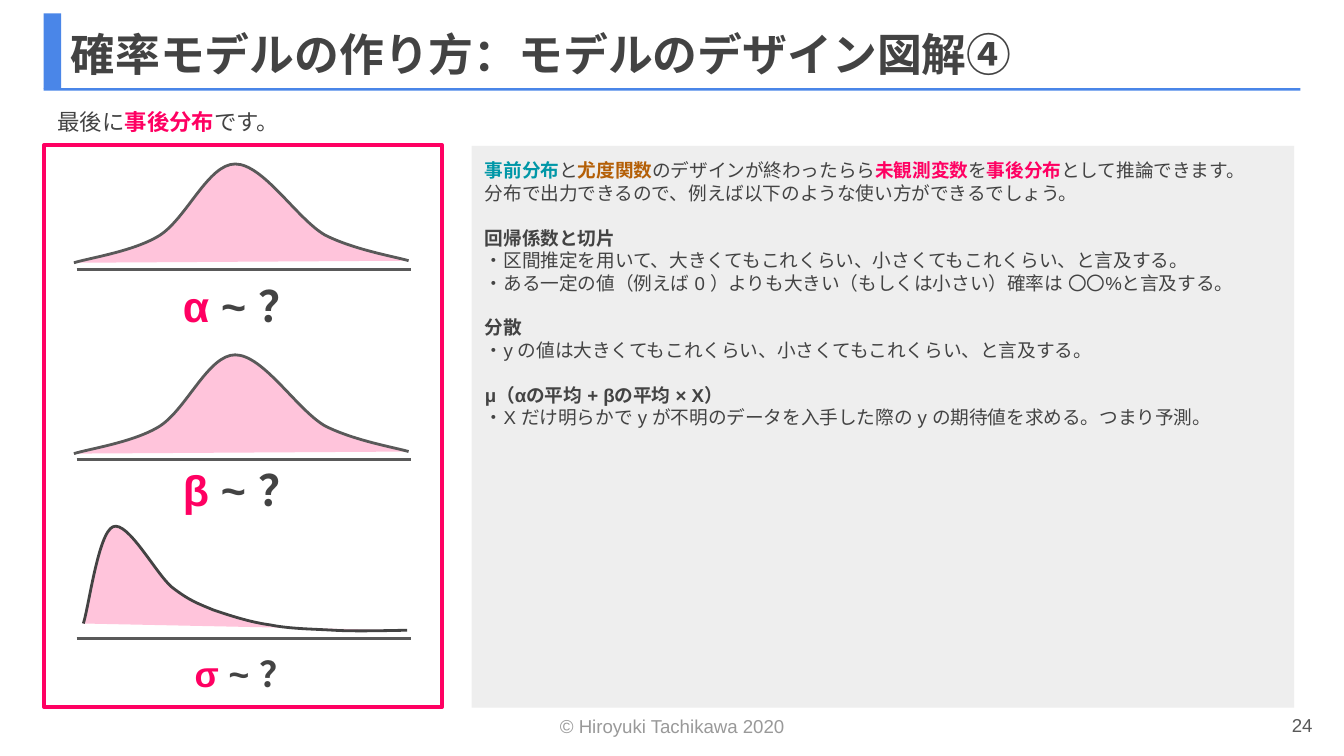
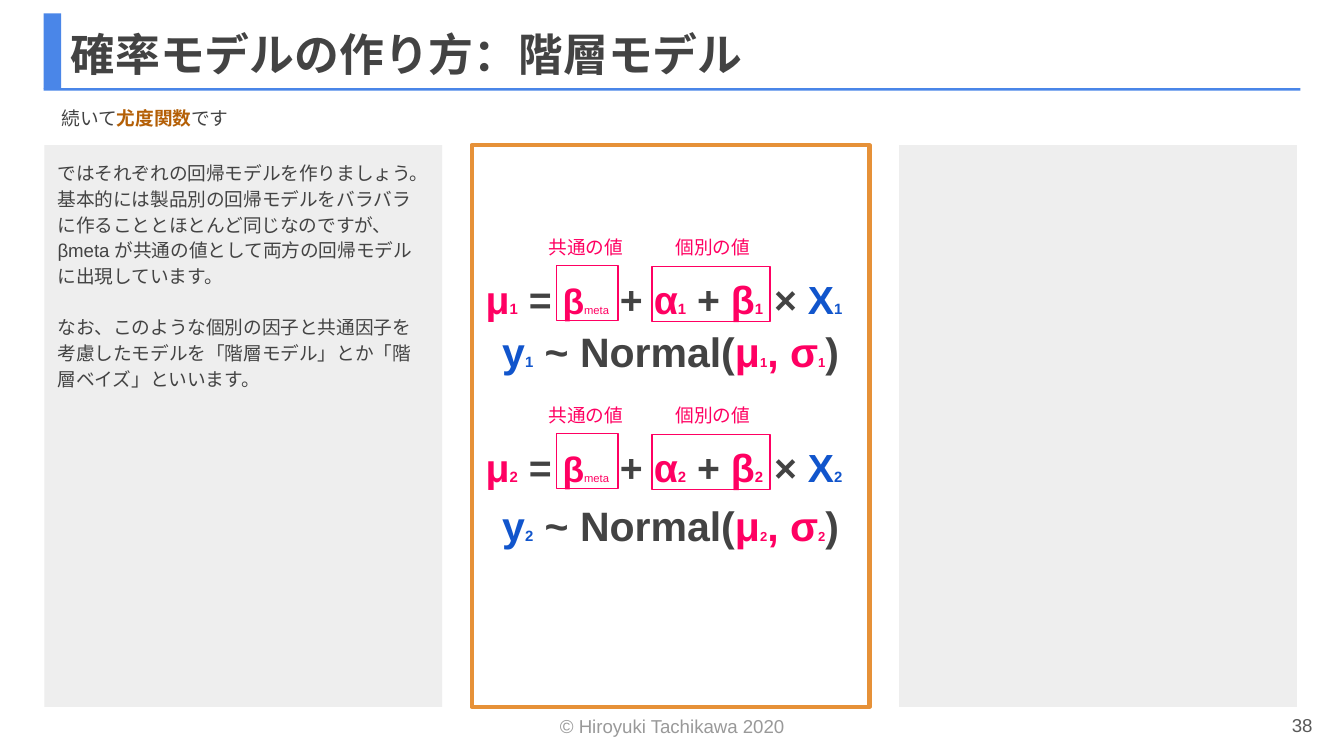
from dataclasses import dataclass, replace
from typing import NamedTuple, Optional

from lxml import etree
from pptx import Presentation
from pptx import util as u
from pptx.dml.color import RGBColor
from pptx.enum import shapes, text
from pptx.oxml.ns import qn

EMU_PER_PX = 4572  # 200 px to the inch


@dataclass(frozen=True)
class Theme:
    font: str = "Arial"
    ink: str = "434343"
    axis: str = "595959"
    muted: str = "999999"
    accent: str = "4A86E8"
    pink: str = "FF0062"
    pale_pink: str = "FFC4DB"
    teal: str = "0097A7"
    brown: str = "B45F06"
    orange: str = "E69138"
    blue: str = "1155CC"
    panel: str = "EEEEEE"
    title_size: int = 24
    lead_size: int = 12
    body_size: int = 10
    label_size: int = 23
    small_label_size: int = 19
    equation_size: int = 21
    beta_size: int = 19
    normal_size: int = 22
    index_size: int = 8
    inner_index_size: int = 7
    meta_size: int = 6
    frame_line: float = 2.25
    curve_line: float = 1.5
    thin_line: float = 0.75


THEME = Theme()


@dataclass(frozen=True)
class Area:
    left: int
    top: int
    width: int
    height: int

    def emu(self) -> list:
        return [px(v) for v in (self.left, self.top, self.width, self.height)]

    def down(self, distance: int) -> "Area":
        return replace(self, top=self.top + distance)


class Span(NamedTuple):
    text: str
    color: str = THEME.ink
    size: int = THEME.body_size
    bold: bool = False


class Para(NamedTuple):
    spans: list
    align: text.PP_ALIGN = text.PP_ALIGN.LEFT
    spacing: float = 1.0
    before: float = 0


class Density(NamedTuple):
    symbol: str
    label: Area
    size: int
    axis_top: int
    curve: list
    curve_shift: int
    outline: str


class Regression(NamedTuple):
    index: str
    shift: int
    normal_top: int


CENTER, RIGHT = text.PP_ALIGN.CENTER, text.PP_ALIGN.RIGHT
COLUMNS = [Area(66 + 636 * i, 216, 592, 836) for i in range(3)]
WIDE_PANEL = Area(702, 217, 1224, 836)

# Each curve is a start point followed by triples of Bezier points
BELL = [(110, 391), (132, 384), (200, 374), (238, 350), (278, 324), (310, 244),
        (350, 244), (392, 244), (442, 326), (484, 350), (528, 372), (588, 382), (608, 388)]
SKEWED = [(124, 928), (132, 904), (146, 794), (168, 784), (190, 774), (232, 854),
          (256, 874), (282, 894), (294, 898), (318, 908), (342, 916), (372, 926),
          (402, 930), (432, 936), (464, 936), (498, 938), (532, 940), (588, 938), (606, 938)]


def px(value: float) -> u.Emu:
    return u.Emu(round(value * EMU_PER_PX))


def set_all(target, values: dict) -> None:
    for name, value in values.items():
        setattr(target, name, value)


# --- Text ---
def write(box, paras: list, anchor=text.MSO_ANCHOR.MIDDLE) -> None:
    frame = box.text_frame
    set_all(frame, {"word_wrap": True, "auto_size": text.MSO_AUTO_SIZE.NONE,
                    "vertical_anchor": anchor})
    set_all(frame, {f"margin_{side}": px(20) for side in ("left", "right", "top", "bottom")})
    for number, item in enumerate(paras):
        para = frame.paragraphs[0] if number == 0 else frame.add_paragraph()
        set_all(para, {"alignment": item.align, "line_spacing": item.spacing,
                       "space_before": u.Pt(item.before), "space_after": u.Pt(0)})
        for part in item.spans:
            span = para.add_run()
            span.text = part.text
            set_all(span.font, {"size": u.Pt(part.size), "bold": part.bold, "name": THEME.font})
            span.font.color.rgb = RGBColor.from_string(part.color)
            for script in ("a:ea", "a:cs"):
                etree.SubElement(span.font._rPr, qn(script), typeface=THEME.font)


def add_text(page, area: Area, para: Para, anchor=text.MSO_ANCHOR.MIDDLE) -> None:
    write(page.shapes.add_textbox(*area.emu()), [para], anchor)


# --- Shapes ---
def paint(shape, fill: Optional[str], line: Optional[str], width: float) -> None:
    shape.shadow.inherit = False
    if fill:
        shape.fill.solid()
        shape.fill.fore_color.rgb = RGBColor.from_string(fill)
    else:
        shape.fill.background()
    if line:
        shape.line.color.rgb = RGBColor.from_string(line)
        shape.line.width = u.Pt(width)
    else:
        shape.line.fill.background()


def add_rect(page, area: Area, fill: Optional[str] = None, line: Optional[str] = None,
             width: float = THEME.thin_line):
    shape = page.shapes.add_shape(shapes.MSO_SHAPE.RECTANGLE, *area.emu())
    paint(shape, fill, line, width)
    return shape


def add_axis(page, top: int) -> None:
    axis = page.shapes.add_connector(
        shapes.MSO_CONNECTOR.STRAIGHT, px(114), px(top), px(612), px(top))
    axis.line.color.rgb = RGBColor.from_string(THEME.axis)
    axis.line.width = u.Pt(THEME.curve_line)
    etree.SubElement(axis._element.spPr, qn("a:effectLst"))


def add_curve(page, points: list, shift: int, outline: str) -> None:
    track = [(px(x), px(y + shift)) for x, y in points]
    builder = page.shapes.build_freeform(*track[0])
    builder.add_line_segments(track[3::3], close=False)
    curve = builder.convert_to_shape()
    # Turn the straight segments into Bezier ones
    outline_track = next(curve._element.iter(qn("a:path")))
    for segment in outline_track.findall(qn("a:lnTo")):
        outline_track.remove(segment)
    for first in range(1, len(track), 3):
        segment = etree.SubElement(outline_track, qn("a:cubicBezTo"))
        for x, y in track[first:first + 3]:
            etree.SubElement(segment, qn("a:pt"), x=str(x - curve.left), y=str(y - curve.top))
    paint(curve, THEME.pale_pink, outline, THEME.curve_line)


# --- Shared page furniture ---
def add_page(deck, title: str, number: int, panel: Area, paras: list):
    page = deck.slides.add_slide(deck.slide_layouts[5])
    add_rect(page, Area(65, 20, 26, 112), THEME.accent)
    add_rect(page, Area(65, 131, 1870, 4), THEME.accent)
    heading = page.shapes.title
    set_all(heading, dict(zip(("left", "top", "width", "height"),
                              Area(85, 24, 1864, 112).emu())))
    write(heading, [Para([Span(title, size=THEME.title_size, bold=True)])])
    write(add_rect(page, panel, THEME.panel), paras, text.MSO_ANCHOR.TOP)
    add_text(page, Area(135, 1053, 1730, 54),
             Para([Span("©︎ Hiroyuki Tachikawa 2020", THEME.muted)], CENTER))
    add_text(page, Area(1853, 1052, 120, 54), Para([Span(str(number), THEME.axis)], RIGHT))
    return page


# --- Posterior distributions ---
def build_posterior(deck) -> None:
    def heading(words: str) -> Para:
        return Para([Span(words, bold=True)], before=12)

    paras = [
        Para([Span("事前分布", THEME.teal, bold=True), Span("と"),
              Span("尤度関数", THEME.brown, bold=True), Span("のデザインが終わったらら"),
              Span("未観測変数", THEME.pink, bold=True), Span("を"),
              Span("事後分布", THEME.pink, bold=True), Span("として推論できます。")]),
        Para([Span("分布で出力できるので、例えば以下のような使い方ができるでしょう。")]),
        heading("回帰係数と切片"),
        Para([Span("・区間推定を用いて、大きくてもこれくらい、小さくてもこれくらい、と言及する。")]),
        Para([Span("・ある一定の値（例えば 0 ）よりも大きい（もしくは小さい）確率は 〇〇%と言及する。")]),
        heading("分散"),
        Para([Span("・y の値は大きくてもこれくらい、小さくてもこれくらい、と言及する。")]),
        heading("μ（αの平均 + βの平均 × X）"),
        Para([Span("・X だけ明らかで y が不明のデータを入手した際の y の期待値を求める。つまり予測。")]),
    ]
    page = add_page(deck, "確率モデルの作り方：モデルのデザイン図解④", 24, WIDE_PANEL, paras)
    size = THEME.lead_size
    add_text(page, Area(66, 135, 1874, 68),
             Para([Span("最後に", size=size), Span("事後分布", THEME.pink, size, True),
                   Span("です。", size=size)], spacing=1.15), text.MSO_ANCHOR.TOP)
    add_rect(page, COLUMNS[0], line=THEME.pink, width=THEME.frame_line)
    densities = [
        Density("α", Area(68, 414, 584, 68), THEME.label_size, 401, BELL, 0, THEME.axis),
        Density("β", Area(64, 688, 592, 68), THEME.label_size, 684, BELL, 284, THEME.axis),
        Density("σ", Area(68, 964, 592, 68), THEME.small_label_size, 950, SKEWED, 0, THEME.ink),
    ]
    for item in densities:
        add_text(page, item.label,
                 Para([Span(item.symbol + " ", THEME.pink, item.size, True),
                       Span("~ ？", size=item.size, bold=True)], CENTER, 1.15))
        add_curve(page, item.curve, item.curve_shift, item.outline)
        add_axis(page, item.axis_top)


# --- Hierarchical model ---
def add_regression(page, model: Regression) -> None:
    def big(words: str, color: str = THEME.pink, size: int = THEME.equation_size) -> Span:
        return Span(words, color, size, True)

    def index(color: str = THEME.pink, size: int = THEME.index_size) -> Span:
        return Span(model.index, color, size, True)

    mean = [big("μ"), index(), big(" "), big("= ", THEME.ink),
            big("β", size=THEME.beta_size), Span("meta", THEME.pink, THEME.meta_size),
            big(" "), big("+", THEME.ink), big(" α"), index(), big(" "),
            big("+", THEME.ink), big(" β"), index(), big(" "), big("× ", THEME.ink),
            big("X", THEME.blue), index(THEME.blue)]
    size, small = THEME.normal_size, THEME.inner_index_size
    normal = [big("y", THEME.blue, size), index(THEME.blue), big(" ", size=size),
              big("~ Normal(", THEME.ink, size), big("μ", size=size), index(size=small),
              big(", σ", size=size), index(size=small), big(")", THEME.ink, size)]
    add_text(page, Area(703, 396, 592, 88).down(model.shift), Para(mean, spacing=1.15))
    add_text(page, Area(702, model.normal_top, 592, 68), Para(normal, CENTER, 1.15))
    terms = [("共通の値", Area(789, 340, 166, 54), Area(828, 395, 92, 82)),
             ("個別の値", Area(973, 340, 176, 54), Area(970, 397, 176, 82))]
    for caption, caption_area, frame_area in terms:
        add_rect(page, frame_area.down(model.shift), line=THEME.pink)
        add_text(page, caption_area.down(model.shift), Para([Span(caption, THEME.pink)], CENTER))


def build_hierarchy(deck) -> None:
    paras = [
        Para([Span("ではそれぞれの回帰モデルを作りましょう。")], spacing=1.15),
        Para([Span("基本的には製品別の回帰モデルをバラバラに作ることとほとんど同じなのですが、")],
             spacing=1.15),
        Para([Span("βmeta が共通の値として両方の回帰モデルに出現しています。")], spacing=1.15),
        Para([Span("なお、このような個別の因子と共通因子を考慮したモデルを"
                   "「階層モデル」とか「階層ベイズ」といいます。")], spacing=1.15, before=13.5),
    ]
    page = add_page(deck, "確率モデルの作り方：階層モデル", 38, COLUMNS[0], paras)
    add_text(page, Area(72, 136, 1864, 80),
             Para([Span("続いて"), Span("尤度関数", THEME.brown, bold=True), Span("です")]))
    add_rect(page, COLUMNS[1], line=THEME.orange, width=THEME.frame_line)
    add_rect(page, COLUMNS[2], THEME.panel)
    for model in (Regression("1", 0, 483), Regression("2", 250, 742)):
        add_regression(page, model)


def main() -> None:
    deck = Presentation()
    set_all(deck, {"slide_width": px(2000), "slide_height": px(1125)})
    build_posterior(deck)
    build_hierarchy(deck)
    deck.save("out.pptx")


if __name__ == "__main__":
    main()
